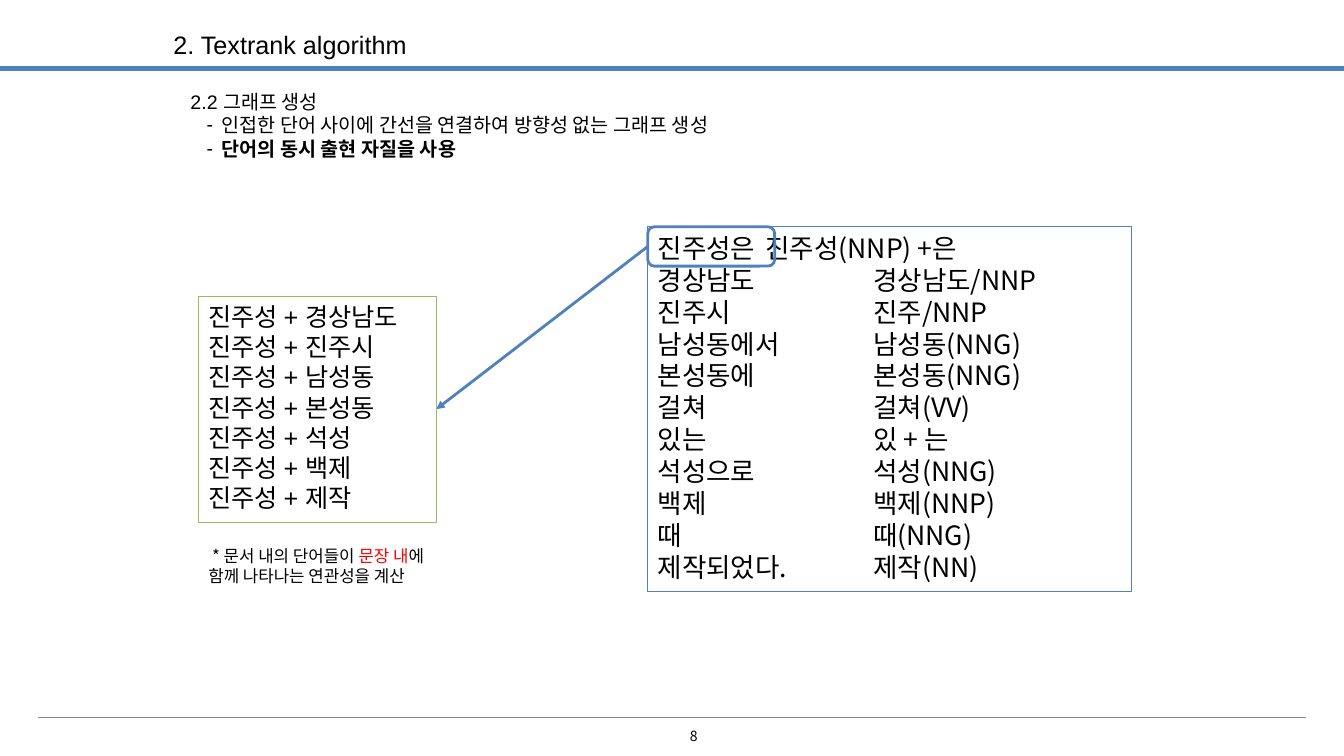
from lxml import etree
from pptx import Presentation, util as u
from pptx.dml.color import RGBColor
from pptx.enum import shapes, text
from pptx.oxml.ns import qn

# Content
TITLE = "2. Textrank algorithm"
HEADING = "2.2 그래프 생성"
POINTS = [("인접한 단어 사이에 간선을 연결하여 방향성 없는 그래프 생성", False),
          ("단어의 동시 출현 자질을 사용", True)]
MORPHEMES = [("진주성은", "진주성(NNP) +은"), ("경상남도", "경상남도/NNP"),
             ("진주시", "진주/NNP"), ("남성동에서", "남성동(NNG)"),
             ("본성동에", "본성동(NNG)"), ("걸쳐", "걸쳐(VV)"),
             ("있는", "있 + 는"), ("석성으로", "석성(NNG)"),
             ("백제", "백제(NNP)"), ("때", "때(NNG)"), ("제작되었다.", "제작(NN)")]
KEYWORD = "진주성"
NEIGHBOURS = ["경상남도", "진주시", "남성동", "본성동", "석성", "백제", "제작"]
NOTE = [(" * 문서 내의 단어들이 ", "ink"), ("문장 내", "accent"),
        ("에 함께 나타나는 연관성을 계산", "ink")]
PAGE_NUMBER = "8"

THEME = dict(ink="000000", accent="FF0000", blue="4F81BD", green="9BBB59", grey="888888",
             latin="Arial", korean="Noto Sans CJK KR",
             title=18, body=14, morphemes=19, pairs=18, note=12, number=10)

# Layout, in inches
WIDTH, HEIGHT = 13.34, 7.5
TAB = 1.07
MORPHEME_BOX = (6.43, 2.25, 4.8, 3.62)
KEYWORD_BOX = (*MORPHEME_BOX[:2], 1.26, 0.39)
PAIR_BOX = (1.97, 2.94, 2.36, 2.24)
NOTE_BOX = (PAIR_BOX[0], 5.36, PAIR_BOX[2], 0.71)


def colour(name):
    return RGBColor.from_string(THEME[name])


def style(para, size, latin="korean", bold=False):
    para.line_spacing, para.space_before, para.space_after = 1.0, u.Pt(0), u.Pt(0)
    for span in para.runs:
        span.font.size, span.font.bold = u.Pt(THEME[size]), bold
        span.font.name = THEME[latin]
        span.font.color.rgb = colour("ink")
        etree.SubElement(span.font._element, qn("a:ea"), typeface=THEME["korean"])


def frame(box, place=None, align=text.PP_ALIGN.LEFT, anchor=text.MSO_ANCHOR.TOP):
    if place:
        box.left, box.top, box.width, box.height = map(u.Inches, place)
    content = box.text_frame
    content.word_wrap, content.auto_size = True, text.MSO_AUTO_SIZE.NONE
    content.vertical_anchor = anchor
    content.margin_left = content.margin_right = u.Inches(0.1)
    content.margin_top = content.margin_bottom = u.Inches(0.05)
    for para in content.paragraphs:
        para.alignment = align
    return content


def outline(kind, place, line, weight):
    box = page.shapes.add_shape(kind, *map(u.Inches, place))
    box.shadow.inherit = False
    box.fill.background()
    box.line.color.rgb, box.line.width = colour(line), u.Pt(weight)
    return box


def connect(start, end, line, weight, arrow=False):
    link = page.shapes.add_connector(shapes.MSO_CONNECTOR.STRAIGHT,
                                     *map(u.Inches, (*start, *end)))
    link.line.color.rgb, link.line.width = colour(line), u.Pt(weight)
    if arrow:
        etree.SubElement(link.line._get_or_add_ln(), qn("a:tailEnd"), type="triangle")
    etree.SubElement(link._element.spPr, qn("a:effectLst"))


deck = Presentation()
deck.slide_width, deck.slide_height = u.Inches(WIDTH), u.Inches(HEIGHT)
page = deck.slides.add_slide(deck.slide_layouts[1])

# Rules and page number
connect((0, 0.68), (WIDTH, 0.68), "blue", 3.25)
connect((0.38, 7.12), (WIDTH - 0.38, 7.12), "grey", 0.75)
number = page.shapes.add_textbox(0, 0, 0, 0)
number.text_frame.text = PAGE_NUMBER
frame(number, (5.33, 7.19, 3.11, 0.23), text.PP_ALIGN.CENTER, text.MSO_ANCHOR.MIDDLE)
style(number.text_frame.paragraphs[0], "number")

# Title and introduction
title, body = page.placeholders
title.text_frame.text = TITLE
style(frame(title, (1.62, 0.24, 3.71, 0.4)).paragraphs[0], "title", "latin")
body.text_frame.text = "\n".join([HEADING] + [point for point, _ in POINTS])
heading, *points = frame(body, (1.79, 0.84, 11.04, 0.81)).paragraphs
style(heading, "body", "latin")
props = heading._p.get_or_add_pPr()
props.set("marL", "0")
props.set("indent", "0")
etree.SubElement(props, qn("a:buNone"))
for para, (_, bold) in zip(points, POINTS):
    style(para, "body", "latin", bold)
    props = para._p.get_or_add_pPr()
    props.set("marL", str(u.Inches(0.31)))
    props.set("indent", str(-u.Inches(0.15)))
    etree.SubElement(props, qn("a:buFont"), typeface=THEME["latin"])
    etree.SubElement(props, qn("a:buChar"), char="-")

# Morpheme list: the first row stops at one tab, the others at two
morphemes = outline(shapes.MSO_SHAPE.RECTANGLE, MORPHEME_BOX, "blue", 0.75)
morphemes.text_frame.text = "\n".join("\t".join(row) for row in MORPHEMES)
for index, para in enumerate(frame(morphemes).paragraphs):
    style(para, "morphemes")
    stops = etree.SubElement(para._p.get_or_add_pPr(), qn("a:tabLst"))
    position = u.Inches(TAB if index == 0 else 2 * TAB)
    etree.SubElement(stops, qn("a:tab"), pos=str(position), algn="l")

# Highlighted keyword and arrow to its pairs
outline(shapes.MSO_SHAPE.ROUNDED_RECTANGLE, KEYWORD_BOX, "blue", 2)
left, top, _, height = KEYWORD_BOX
connect((left, top + height / 2), (PAIR_BOX[0] + PAIR_BOX[2], PAIR_BOX[1] + PAIR_BOX[3] / 2),
        "blue", 2, arrow=True)

# Word pairs
pairs = outline(shapes.MSO_SHAPE.RECTANGLE, PAIR_BOX, "green", 0.75)
pairs.text_frame.text = "\n".join(f"{KEYWORD} + {word}" for word in NEIGHBOURS)
for para in frame(pairs).paragraphs:
    style(para, "pairs", "latin")

# Note under the pairs
note = page.shapes.add_textbox(0, 0, 0, 0)
para = frame(note, NOTE_BOX).paragraphs[0]
for words, _ in NOTE:
    para.add_run().text = words
style(para, "note")
for span, (_, tone) in zip(para.runs, NOTE):
    span.font.color.rgb = colour(tone)

deck.save("out.pptx")
